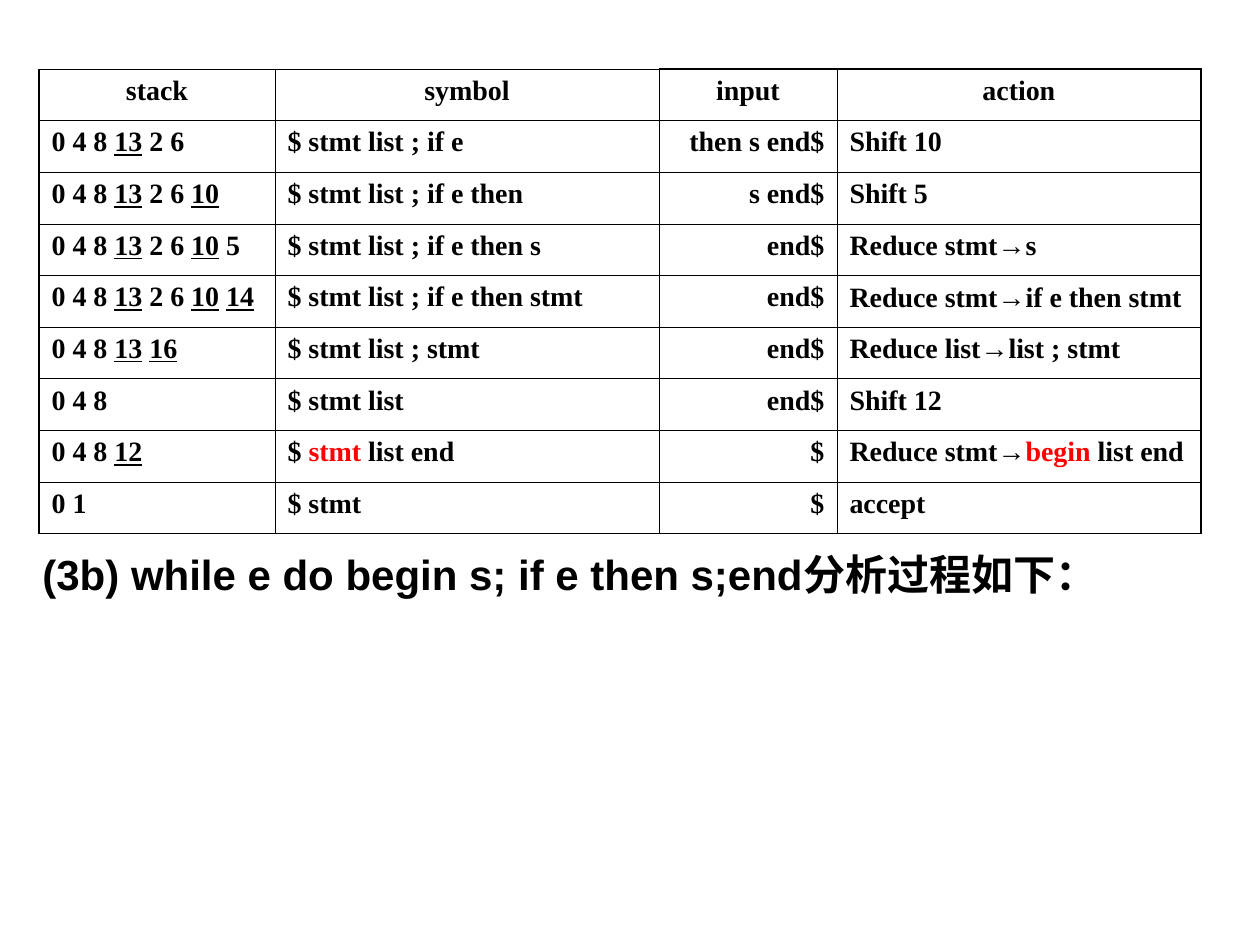
"""Build the parsing-trace slide: shift-reduce table and the heading of the next trace."""
from lxml.etree import SubElement
from pptx import Presentation
from pptx.dml.color import RGBColor
from pptx.enum.text import MSO_AUTO_SIZE as AutoSize, MSO_VERTICAL_ANCHOR as Anchor, PP_ALIGN as Align
from pptx.oxml.ns import qn
from pptx.util import Emu, Pt

BLACK = RGBColor(0, 0, 0)
RED = RGBColor(255, 0, 0)
SCALE = 914400 / 126
THIN, THICK = Pt(0.45), Pt(1.08)


def px(length):
    return Emu(round(length * SCALE))


def add_run(paragraph, text, font_format, color=BLACK):
    run = paragraph.add_run()
    run.text = text
    for attribute, value in font_format.items():
        setattr(run.font, attribute, value)
    run.font.color.rgb = color


TRACE = [
    ("stack", "symbol", "input", "action"),
    ("0 4 8 |13| 2 6", "$ stmt list ; if e", "then s end$", "Shift 10"),
    ("0 4 8 |13| 2 6 |10", "$ stmt list ; if e then", "s end$", "Shift 5"),
    ("0 4 8 |13| 2 6 |10| 5", "$ stmt list ; if e then s", "end$", "Reduce stmt|→|s"),
    ("0 4 8 |13| 2 6 |10| |14", "$ stmt list ; if e then stmt", "end$", "Reduce stmt|→|if e then stmt"),
    ("0 4 8 |13| |16", "$ stmt list ; stmt", "end$", "Reduce list|→|list ; stmt"),
    ("0 4 8", "$ stmt list", "end$", "Shift 12"),
    ("0 4 8 |12", "$ |stmt |list end", "$", "Reduce stmt|→|begin| list end"),
    ("0 1", "$ stmt", "$", "accept"),
]
COLUMN_WIDTHS = [236, 384, 178, 364]
COLUMN_ALIGNS = [Align.LEFT, Align.LEFT, Align.RIGHT, Align.LEFT]
RED_WORDS = ("stmt ", "begin")

deck = Presentation()
deck.slide_width, deck.slide_height = px(1260), px(945)
slide = deck.slides.add_slide(deck.slide_layouts[6])

trace_table = slide.shapes.add_table(
    len(TRACE), len(COLUMN_WIDTHS), px(39), px(69), px(sum(COLUMN_WIDTHS)), px(465)
).table
trace_table.first_row = trace_table.horz_banding = False
for column, width in zip(trace_table.columns, COLUMN_WIDTHS):
    column.width = px(width)

for row, steps in enumerate(TRACE):
    for col, step in enumerate(steps):
        cell = trace_table.cell(row, col)
        cell.vertical_anchor = Anchor.TOP
        paragraph = cell.text_frame.paragraphs[0]
        paragraph.alignment = Align.CENTER if row == 0 else COLUMN_ALIGNS[col]
        for part in step.split("|"):
            cell_font = {
                "name": "Arial" if part == "→" else "Times New Roman",
                "size": Pt(16),
                "bold": True,
                "underline": col == 0 and part.isdigit(),
            }
            add_run(paragraph, part, cell_font, RED if part in RED_WORDS else BLACK)

        borders = {
            "a:lnL": THICK if col == 0 else THIN,
            "a:lnR": THICK if col == 3 else THIN,
            "a:lnT": THICK if row == 0 and col >= 2 else THIN,
            "a:lnB": THIN,
        }
        cell_properties = cell._tc.get_or_add_tcPr()
        for side, weight in borders.items():
            line = SubElement(cell_properties, qn(side), w=str(weight))
            line_fill = SubElement(line, qn("a:solidFill"))
            SubElement(line_fill, qn("a:srgbClr"), val=str(BLACK))
        cell.fill.background()

next_trace = slide.shapes.add_textbox(px(30), px(542), px(1090), px(63)).text_frame
next_trace.word_wrap = False
next_trace.auto_size = AutoSize.SHAPE_TO_FIT_TEXT
add_run(
    next_trace.paragraphs[0],
    "(3b) while e do begin s; if e then s;end分析过程如下：",
    {"name": "Arial", "size": Pt(24), "bold": True},
)

deck.save("out.pptx")
